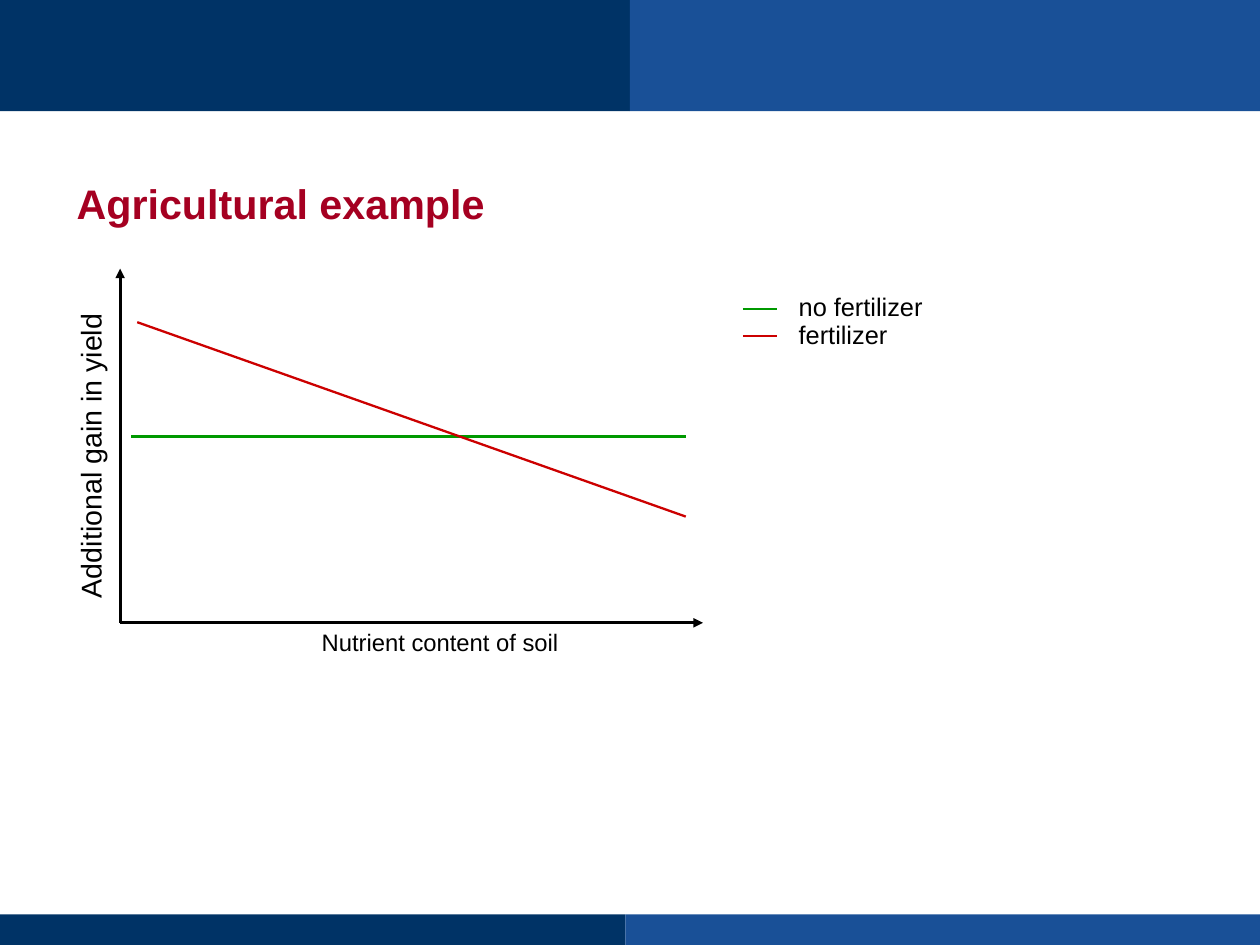
from dataclasses import dataclass

from lxml import etree
from pptx import Presentation
from pptx.dml.color import RGBColor
from pptx.enum import shapes, text
from pptx.oxml import ns
from pptx.util import Cm, Pt


@dataclass(frozen=True)
class Theme:
    """Colours, font and type sizes of the slide."""
    font: str = "Arial"
    navy: str = "003366"
    blue: str = "195097"
    title: str = "A50021"
    ink: str = "000000"
    plain: str = "009900"
    treated: str = "CC0000"
    title_size: int = 26
    y_size: int = 18
    legend_size: int = 16
    x_size: int = 15
    axis_width: float = 0
    curve_width: float = 1.45


T = Theme()


def add_text(s, box, lines, size, color=T.ink, bold=False, align=None, spacing=0.93, rotation=0):
    """Add a text box with one paragraph per line."""
    sp = s.shapes.add_textbox(*map(Cm, box))
    sp.rotation = rotation
    tf = sp.text_frame
    tf.word_wrap = True
    for i, line in enumerate(lines):
        p = tf.add_paragraph() if i else tf.paragraphs[0]
        p.alignment, p.line_spacing = align, spacing
        r = p.add_run()
        r.text = line
        r.font.name, r.font.size, r.font.bold = T.font, Pt(size), bold
        r.font.color.rgb = RGBColor.from_string(color)


def add_line(s, start, end, color, width, arrow=False):
    """Add a straight line, with an arrowhead at its end if asked."""
    c = s.shapes.add_connector(shapes.MSO_CONNECTOR.STRAIGHT, *map(Cm, (*start, *end)))
    c.line.color.rgb = RGBColor.from_string(color)
    c.line.width = Pt(width)
    if arrow:
        etree.SubElement(c.line._get_or_add_ln(), ns.qn("a:tailEnd"), type="triangle")
    etree.SubElement(c._element.spPr, ns.qn("a:effectLst"))


def add_band(s, box, split):
    """Fill a box with a navy part and a blue part that meet at the split."""
    x, y, w, h = box
    for left, width, color in ((x, split, T.navy), (x + split, w - split, T.blue)):
        sp = s.shapes.add_shape(shapes.MSO_SHAPE.RECTANGLE, *map(Cm, (left, y, width, h)))
        sp.shadow.inherit = False
        sp.fill.solid()
        sp.fill.fore_color.rgb = RGBColor.from_string(color)
        sp.line.fill.background()


def add_graph(s, box):
    """Draw the axes, their labels and the two yield lines."""
    x, y, w, h = box
    origin = (x, y + h)
    for end in ((x + w, y + h), (x, y)):
        add_line(s, origin, end, T.ink, T.axis_width, arrow=True)
    right = x + 12.57
    add_line(s, (x + 0.25, y + 3.73), (right, y + 3.73), T.plain, T.curve_width)
    add_line(s, (x + 0.38, y + 1.19), (right, y + 5.51), T.treated, T.curve_width)
    add_text(s, (x + 0.38, y + h + 0.05, 13.46, 0.84), ["Nutrient content of soil"],
             T.x_size, align=text.PP_ALIGN.CENTER)
    add_text(s, (x - 3.46, y + 2.82, 7.11, 2.39), ["Additional gain in yield"],
             T.y_size, rotation=270)


def add_legend(s, box):
    """Draw the line samples and their names."""
    x, y, w, h = box
    entries = {"no fertilizer": T.plain, "fertilizer": T.treated}
    for i, color in enumerate(entries.values()):
        row = y + 0.46 + 0.61 * i
        add_line(s, (x, row), (x + 0.76, row), color, T.curve_width)
    add_text(s, (x + 0.99, y, w - 0.99, h), entries, T.legend_size)


def main():
    """Build and save the slide."""
    prs = Presentation()
    prs.slide_width, prs.slide_height = Cm(28), Cm(21)
    s = prs.slides.add_slide(prs.slide_layouts[6])
    add_band(s, (0, 0, 28, 2.47), 14)
    add_band(s, (0, 20.32, 28, 0.68), 13.9)
    add_text(s, (0.3, 3.61, 11.89, 1.57), ["Agricultural example"], T.title_size,
             T.title, bold=True, align=text.PP_ALIGN.CENTER, spacing=1.2)
    add_graph(s, (2.67, 5.97, 12.95, 7.87))
    add_legend(s, (16.51, 6.4, 5.59, 2.13))
    prs.save("out.pptx")


if __name__ == "__main__":
    main()
